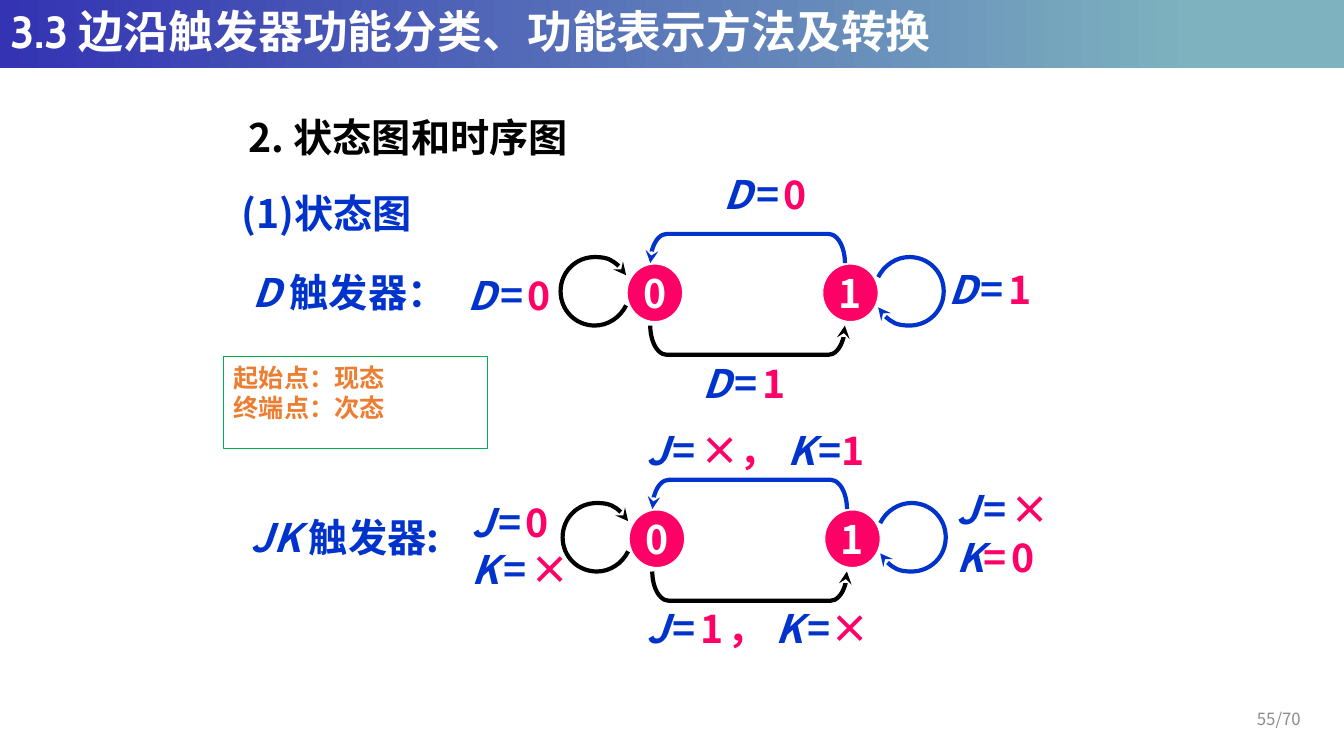
from lxml.etree import SubElement
from pptx import Presentation
from pptx.dml.color import RGBColor
from pptx.enum.shapes import MSO_SHAPE as SHAPE
from pptx.enum.text import MSO_ANCHOR as ANCHOR, MSO_AUTO_SIZE as FIT, PP_ALIGN as ALIGN
from pptx.oxml.ns import qn
from pptx.util import Pt

PX = 9144
WIDTH, HEIGHT, BAND = 1333 * PX, 750 * PX, 68 * PX
NOTO = "Noto Sans CJK SC"
THEME = {
    "black": RGBColor.from_string("000000"),
    "white": RGBColor.from_string("FFFFFF"),
    "blue": RGBColor.from_string("0033CC"),
    "pink": RGBColor.from_string("FF0066"),
    "orange": RGBColor.from_string("ED7D31"),
    "green": RGBColor.from_string("00B050"),
    "grey": RGBColor.from_string("8C8C8C"),
    "band": [(0, RGBColor.from_string("3333B3")), (0.89, RGBColor.from_string("7DB2BE"))],
    "title": 32, "body": 28, "note": 18, "page": 12, "gap": 14,
    "arrow": 3, "outline": 0.75,
}
STYLES = {
    "title": ("Cabin", "title", "white", True, False),
    "head": (NOTO, "body", "black", True, False),
    "state": (NOTO, "body", "white", True, False),
    "var": (NOTO, "body", "blue", True, True),
    "blue": (NOTO, "body", "blue", True, False),
    "pink": (NOTO, "body", "pink", True, False),
    "note": (NOTO, "note", "orange", True, False),
    "page": (NOTO, "page", "grey", False, False),
}
LOOP = [(31, 14), (25, 26), (13, 34), (0, 34), (-19, 34), (-34, 19), (-34, 0),
        (-34, -19), (-19, -34), (0, -34), (13, -34), (25, -27), (31, -16)]


def write(sp, paragraphs, align=ALIGN.LEFT, anchor=ANCHOR.TOP, wrap=True):
    tf = sp.text_frame
    tf.word_wrap, tf.auto_size, tf.vertical_anchor = wrap, FIT.NONE, anchor
    for i, runs in enumerate(paragraphs):
        p = tf.paragraphs[0] if i == 0 else tf.add_paragraph()
        p.alignment = align
        for style, text in runs:
            face, size, colour, bold, italic = STYLES[style]
            r = p.add_run()
            r.text = text
            f = r.font
            f.name, f.bold, f.italic = face, bold, italic
            f.size = Pt(THEME["gap" if text == " " else size])
            f.color.rgb = THEME[colour]
            SubElement(r._r.get_or_add_rPr(), qn("a:ea"), typeface=NOTO)


def arrow(sp, colour, end):
    sp.shadow.inherit = False
    sp.fill.background()
    sp.line.color.rgb = THEME[colour]
    sp.line.width = Pt(THEME["arrow"])
    SubElement(sp.line._get_or_add_ln(), qn(f"a:{end}"), type="stealth")


prs = Presentation()
prs.slide_width, prs.slide_height = WIDTH, HEIGHT
s = prs.slides.add_slide(prs.slide_layouts[5])

band = s.shapes.add_shape(SHAPE.RECTANGLE, 0, 0, WIDTH, BAND)
band.shadow.inherit = False
band.line.fill.background()
band.fill.gradient()
band.fill.gradient_angle = 0
for stop, (position, colour) in zip(band.fill.gradient_stops, THEME["band"]):
    stop.position, stop.color.rgb = position, colour

title = s.shapes.title
title.left, title.top, title.width, title.height = 0, 0, WIDTH, BAND
write(title, [[("title", "3.3 边沿触发器功能分类、功能表示方法及转换")]], anchor=ANCHOR.MIDDLE)
title.text_frame.paragraphs[0].line_spacing = 0.9
s.shapes._spTree.append(title._element)

for dx, dy in [(0, 0), (2, 244)]:
    for digit, x in [("0", 622), ("1", 816)]:
        state = s.shapes.add_shape(
            SHAPE.OVAL, (x + dx) * PX, (262 + dy) * PX, 55 * PX, 57 * PX)
        state.shadow.inherit = False
        state.fill.solid()
        state.fill.fore_color.rgb = THEME["pink"]
        state.line.color.rgb = THEME["white"]
        state.line.width = Pt(THEME["outline"])
        write(state, [[("state", digit)]], ALIGN.CENTER, ANCHOR.MIDDLE, False)

    for cx, sign, colour in [(590, 1, "black"), (902, -1, "blue")]:
        points = [((cx + dx + sign * x) * PX, (289 + dy + sign * y) * PX) for x, y in LOOP]
        outline = s.shapes.build_freeform(*points[0], scale=1.0)
        outline.add_line_segments(points[1:], close=False)
        loop = outline.convert_to_shape()
        lines = list(loop._element.iter(qn("a:lnTo")))
        for i in range(0, len(lines), 3):
            curve = SubElement(lines[i].getparent(), qn("a:cubicBezTo"))
            for line in lines[i:i + 3]:
                curve.append(line[0])
                line.getparent().remove(line)
        arrow(loop, colour, "tailEnd")

    for y, turn, colour in [(150, 90, "blue"), (241, 270, "black")]:
        bracket = s.shapes.add_shape(
            SHAPE.LEFT_BRACKET, (727 + dx) * PX, (y + dy) * PX, 29 * PX, 193 * PX)
        bracket.adjustments[0] = 0.563
        bracket.rotation = turn
        arrow(bracket, colour, "headEnd")

D, J, K = [[("var", name), ("var", " "), ("blue", "=")] for name in "DJK"]
GAP = ("pink", " ")
ZERO, ONE, ANY = [("pink", value) for value in "01×"]
COMMA = ("pink", "， ")

labels = [
    (237, 108, 533, 57, [[("head", "2. 状态图和时序图")]]),
    (230, 183, 270, 57, [[("blue", "(1)状态图")]]),
    (241, 261, 238, 57, [[("var", "D "), ("blue", "触发器：")]]),
    (454, 264, 119, 57, [D + [GAP, ZERO]]),
    (708, 164, 140, 57, [D + [GAP, ZERO]]),
    (931, 258, 125, 57, [D + [GAP, ONE]]),
    (687, 352, 136, 57, [D + [GAP, ONE]]),
    (239, 504, 352, 57, [[("var", "JK "), ("blue", "触发器:")]]),
    (458, 489, 125, 103, [J + [GAP, ("pink", "0 ")] + K + [GAP, ANY]]),
    (631, 418, 261, 57, [J + [GAP, ANY, COMMA] + K + [ONE]]),
    (939, 477, 123, 103, [J + [GAP, ANY, GAP], [("var", "K"), ("pink", "="), GAP, ZERO]]),
    (631, 595, 261, 57, [J + [GAP, ONE, GAP, COMMA] + K + [ANY]]),
]
for x, y, w, h, paragraphs in labels:
    write(s.shapes.add_textbox(x * PX, y * PX, w * PX, h * PX), paragraphs)

legend = s.shapes.add_shape(SHAPE.RECTANGLE, 222 * PX, 354 * PX, 262 * PX, 91 * PX)
legend.shadow.inherit = False
legend.fill.background()
legend.line.color.rgb = THEME["green"]
legend.line.width = Pt(THEME["outline"])
write(legend, [[("note", "起始点：现态")], [("note", "终端点：次态")]])

page = s.shapes.add_textbox(1198 * PX, 693 * PX, 102 * PX, 40 * PX)
write(page, [[("page", "55/70")]], ALIGN.RIGHT, ANCHOR.MIDDLE)

prs.save("out.pptx")
